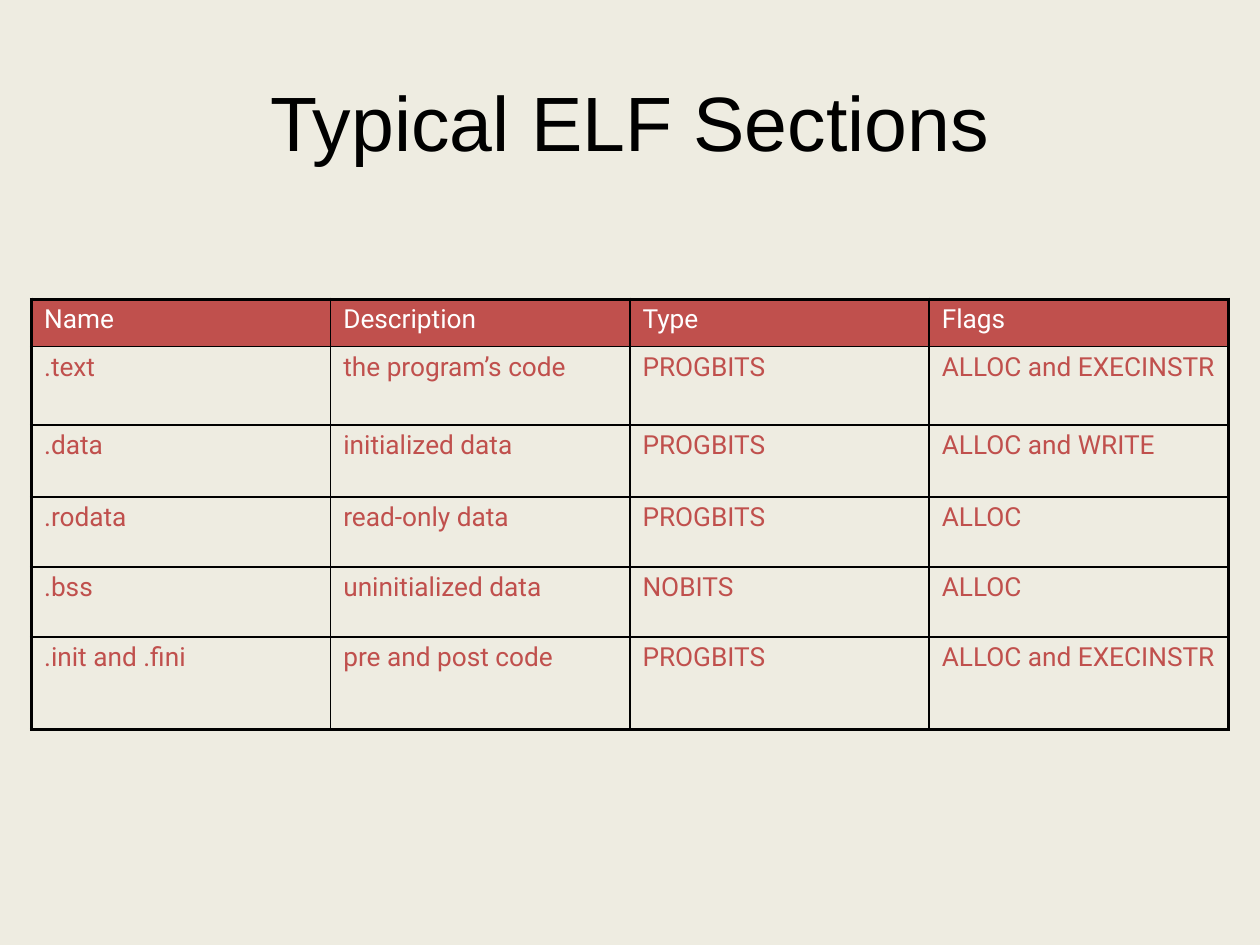
from lxml import etree
from pptx import Presentation
from pptx.dml.color import RGBColor
from pptx.enum.text import MSO_ANCHOR, PP_ALIGN
from pptx.oxml.ns import qn
from pptx.util import Pt

CENTER, LEFT = PP_ALIGN.CENTER, PP_ALIGN.LEFT
MIDDLE = MSO_ANCHOR.MIDDLE

BACKGROUND, BLACK, WHITE, RED = "EEECE1", "000000", "FFFFFF", "C0504D"
THIN, THICK = 1, 2.25

SECTIONS = [
    ("Name", "Description", "Type", "Flags"),
    (".text", "the program’s code", "PROGBITS", "ALLOC and EXECINSTR"),
    (".data", "initialized data", "PROGBITS", "ALLOC and WRITE"),
    (".rodata", "read-only data", "PROGBITS", "ALLOC"),
    (".bss", "uninitialized data", "NOBITS", "ALLOC"),
    (".init and .fini", "pre and post code", "PROGBITS", "ALLOC and EXECINSTR"),
]
ROW_HEIGHTS = [27, 45, 41, 40, 40, 53]
TABLE_WIDTH = 684


def set_color(fill, color):
    fill.solid()
    fill.fore_color.rgb = RGBColor.from_string(color)


def write(tf, text, *, size, font, color, align=LEFT):
    p = tf.paragraphs[0]
    p.alignment = align
    r = p.add_run()
    r.text = text
    r.font.size = Pt(size)
    r.font.name = font
    set_color(r.font.fill, color)


def add_title(slide, text):
    tf = slide.shapes.add_textbox(Pt(18), Pt(12), Pt(684), Pt(114)).text_frame
    tf.word_wrap = True
    tf.vertical_anchor = MIDDLE
    write(tf, text, size=44, font="Arial", color=BLACK, align=CENTER)


def set_borders(cell, widths):
    """Draw black cell borders; widths maps L, R, T, B, in that order, to points."""
    tc_pr = cell._tc.get_or_add_tcPr()
    for side, width in widths.items():
        ln = etree.SubElement(tc_pr, qn(f"a:ln{side}"), w=str(Pt(width)))
        fill = etree.SubElement(ln, qn("a:solidFill"))
        etree.SubElement(fill, qn("a:srgbClr"), val=BLACK)


def add_section_table(slide, rows):
    n_rows, n_cols = len(rows), len(rows[0])
    table = slide.shapes.add_table(n_rows, n_cols, Pt(18), Pt(171),
                                   Pt(TABLE_WIDTH), Pt(sum(ROW_HEIGHTS))).table
    table.first_row = table.horz_banding = False
    for col in table.columns:
        col.width = Pt(TABLE_WIDTH / n_cols)
    for i, (row, height) in enumerate(zip(rows, ROW_HEIGHTS)):
        table.rows[i].height = Pt(height)
        for j, text in enumerate(row):
            cell = table.cell(i, j)
            cell.margin_left = cell.margin_right = Pt(7.2)
            cell.margin_top = cell.margin_bottom = Pt(3)
            outer = {"L": j == 0, "R": j == n_cols - 1,
                     "T": i == 0, "B": i == n_rows - 1}
            set_borders(cell, {side: THICK if edge else THIN
                               for side, edge in outer.items()})
            if i == 0:
                set_color(cell.fill, RED)
            else:
                cell.fill.background()
            write(cell.text_frame, text, size=15, font="Roboto",
                  color=WHITE if i == 0 else RED)


def main():
    prs = Presentation()
    prs.slide_width, prs.slide_height = Pt(720), Pt(540)
    slide = prs.slides.add_slide(prs.slide_layouts[6])
    set_color(slide.background.fill, BACKGROUND)
    add_title(slide, "Typical ELF Sections")
    add_section_table(slide, SECTIONS)
    prs.save("out.pptx")


if __name__ == "__main__":
    main()
